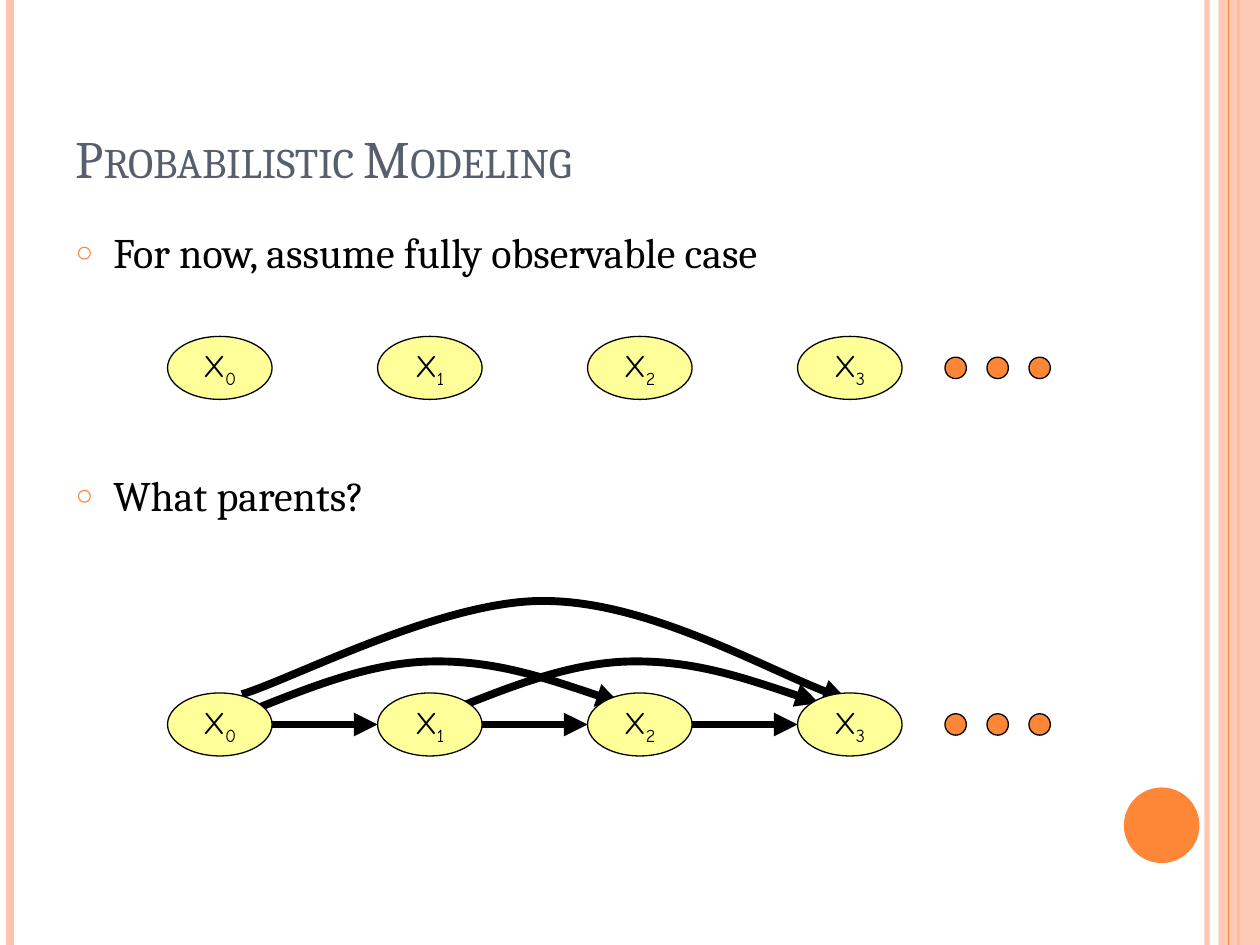
from lxml.etree import SubElement
from pptx import Presentation
from pptx.dml.color import RGBColor
from pptx.enum.shapes import MSO_CONNECTOR, MSO_SHAPE
from pptx.enum.text import MSO_ANCHOR, MSO_AUTO_SIZE, PP_ALIGN
from pptx.oxml.ns import qn
from pptx.util import Inches, Pt

# Content
TITLE = "Probabilistic Modeling"
BULLETS = [("For now, assume fully observable case", 6), ("What parents?", 110)]
STATES = ["0", "1", "2", "3"]
ROW_TOPS = [2.67, 5.5]
ORANGE, PEACH, YELLOW, BLACK, SLATE = "FE8637", "FEC3AE", "FFFF99", "000000", "575F6D"
SERIF, HAND = "Cambria", "Comic Neue"

# Margin decoration: x, colour, width in points, opacity in percent
RULES = [(9.58, PEACH, 3, 93), (0.08, PEACH, 4.5, 100), (9.83, ORANGE, 1.5, 100)]
INNER_RULE = (9.75, ORANGE, 0.75, 100)

# Geometry of the chain
NODE_W, NODE_H, NODE_LEFT, NODE_STEP = 0.83, 0.5, 1.33, 5 / 3
DOT, DOT_LEFT, DOT_STEP, DOT_COUNT = 0.17, 7.5, 1 / 3, 3
SKIP_ONE = [(0, 5.67), (0.5, 5.47), (1, 5.26), (1.5, 5.25), (2, 5.24), (2.5, 5.41), (3, 5.58)]
SKIP_TWO = [(0, 5.51), (0.4, 5.39), (1.6, 4.76), (2.4, 4.77), (3.2, 4.77), (4.3, 5.39), (4.8, 5.55)]
ARCS = [(3.5, SKIP_ONE), (1.92, SKIP_TWO), (1.92, SKIP_ONE)]

deck = Presentation()
deck.slide_width, deck.slide_height = Inches(10), Inches(7.5)
slide = deck.slides.add_slide(deck.slide_layouts[1])
shapes = slide.shapes


def rgb(value):
    return RGBColor.from_string(value)


def set_opacity(part, percent):
    color = part._element.spPr.find(".//" + qn("a:srgbClr"))
    SubElement(color, qn("a:alpha"), val=str(percent * 1000))


def style_font(font, **values):
    font.color.rgb = rgb(values.pop("color"))
    for name, value in values.items():
        setattr(font, name, value)


def place(part, left, top, width, height):
    box = {"left": left, "top": top, "width": width, "height": height}
    for name, value in box.items():
        setattr(part, name, Inches(value))


def add_line(x1, y1, x2, y2, color, width):
    line = shapes.add_connector(MSO_CONNECTOR.STRAIGHT, *map(Inches, (x1, y1, x2, y2)))
    line.line.color.rgb, line.line.width = rgb(color), Pt(width)
    SubElement(line._element.spPr, qn("a:effectLst"))
    return line


def add_rule(x, color, width, opacity):
    rule = add_line(x, 0, x, 7.5, color, width)
    if opacity < 100:
        set_opacity(rule, opacity)


def add_solid(kind, left, top, width, height, fill, outline=None):
    solid = shapes.add_shape(kind, *map(Inches, (left, top, width, height)))
    solid.shadow.inherit = False
    solid.fill.solid()
    solid.fill.fore_color.rgb = rgb(fill)
    if outline:
        solid.line.color.rgb, solid.line.width = rgb(outline), Pt(0.75)
    else:
        solid.line.fill.background()
    return solid


def add_head(part):
    SubElement(part.line._get_or_add_ln(), qn("a:tailEnd"), type="triangle")


def add_arc(left, points):
    """Each three points after the first make one Bezier segment."""
    spots = [(Inches(left + x), Inches(y)) for x, y in points]
    builder = shapes.build_freeform(*spots[0])
    builder.add_line_segments(spots[1:], close=False)
    arc = builder.convert_to_shape()
    arc.shadow.inherit = False
    arc.fill.background()
    arc.line.color.rgb, arc.line.width = rgb(BLACK), Pt(4.5)
    outline = arc._element.spPr.find(".//" + qn("a:path"))
    steps = outline.findall(qn("a:lnTo"))
    for start in range(0, len(steps), 3):
        curve = SubElement(outline, qn("a:cubicBezTo"))
        for step in steps[start:start + 3]:
            curve.append(step[0])
            outline.remove(step)
    add_head(arc)


def add_node(left, top, index):
    node = add_solid(MSO_SHAPE.OVAL, left, top, NODE_W, NODE_H, YELLOW, BLACK)
    frame = node.text_frame
    frame.word_wrap, frame.vertical_anchor = False, MSO_ANCHOR.MIDDLE
    label = frame.paragraphs[0]
    label.alignment = PP_ALIGN.CENTER
    for text in ("X", index):
        run = label.add_run()
        run.text = text
        style_font(run.font, name=HAND, size=Pt(18), color=BLACK)
    run.font._element.set("baseline", "-25000")


# Margin decoration
for rule in RULES:
    add_rule(*rule)
band = add_solid(MSO_SHAPE.RECTANGLE, 9.67, 0, 0.33, 7.5, PEACH)
set_opacity(band, 87)
add_rule(*INNER_RULE)
add_solid(MSO_SHAPE.OVAL, 8.92, 6.25, 0.6, 0.6, ORANGE)

# Title
title = shapes.title
place(title, 0.5, 0.3, 8.17, 1.25)
title.text_frame.text = TITLE
title.text_frame.vertical_anchor = MSO_ANCHOR.BOTTOM
title.text_frame.auto_size = MSO_AUTO_SIZE.NONE
heading = title.text_frame.paragraphs[0]
heading.alignment = PP_ALIGN.LEFT
style_font(heading.runs[0].font, name=SERIF, size=Pt(30), color=SLATE)
heading.runs[0].font._element.set("cap", "small")

# Bullets
body = slide.placeholders[1]
place(body, 0.5, 1.75, 8.17, 5.33)
body.text_frame.text = "\n".join(text for text, _ in BULLETS)
body.text_frame.auto_size = MSO_AUTO_SIZE.NONE
for item, (_, gap) in zip(body.text_frame.paragraphs, BULLETS):
    item.space_before = Pt(gap)
    style_font(item.runs[0].font, name=SERIF, size=Pt(24), color=BLACK)
    props = item._p.get_or_add_pPr()
    props.set("marL", str(Inches(0.3)))
    props.set("indent", str(Inches(-0.3)))
    SubElement(SubElement(props, qn("a:buClr")), qn("a:srgbClr"), val=ORANGE)
    SubElement(props, qn("a:buSzPct"), val="70000")
    SubElement(props, qn("a:buChar"), char="○")

# Arrows between states
for left, points in ARCS:
    add_arc(left, points)
arrow_y = ROW_TOPS[1] + NODE_H / 2
for step in range(len(STATES) - 1):
    node_left = NODE_LEFT + step * NODE_STEP
    add_head(add_line(node_left + NODE_W, arrow_y, node_left + NODE_STEP, arrow_y, BLACK, 4.5))

# State rows with trailing dots
for top in ROW_TOPS:
    for step, index in enumerate(STATES):
        add_node(NODE_LEFT + step * NODE_STEP, top, index)
    for step in range(DOT_COUNT):
        add_solid(MSO_SHAPE.OVAL, DOT_LEFT + step * DOT_STEP,
                  top + (NODE_H - DOT) / 2, DOT, DOT, ORANGE, BLACK)

deck.save("out.pptx")
